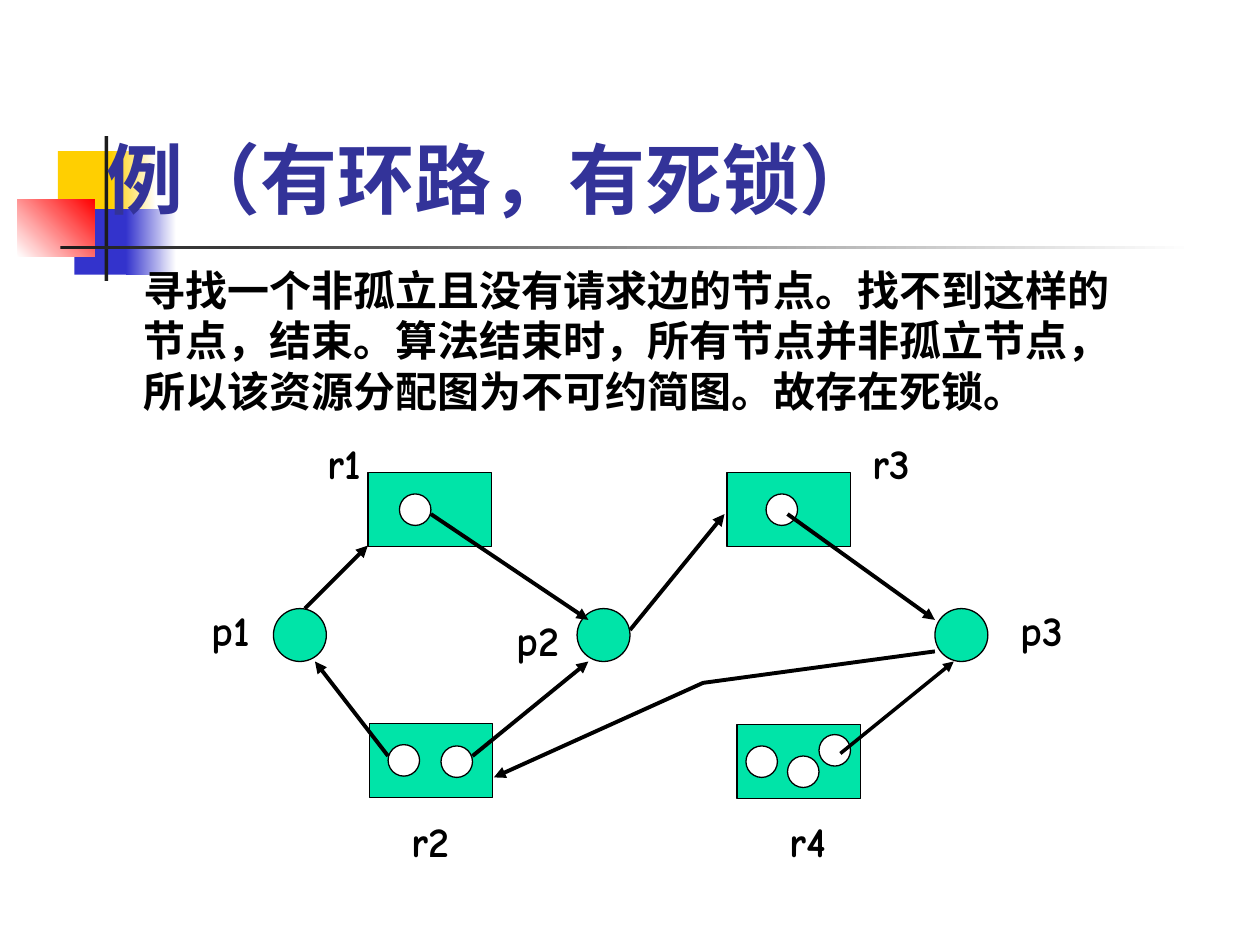
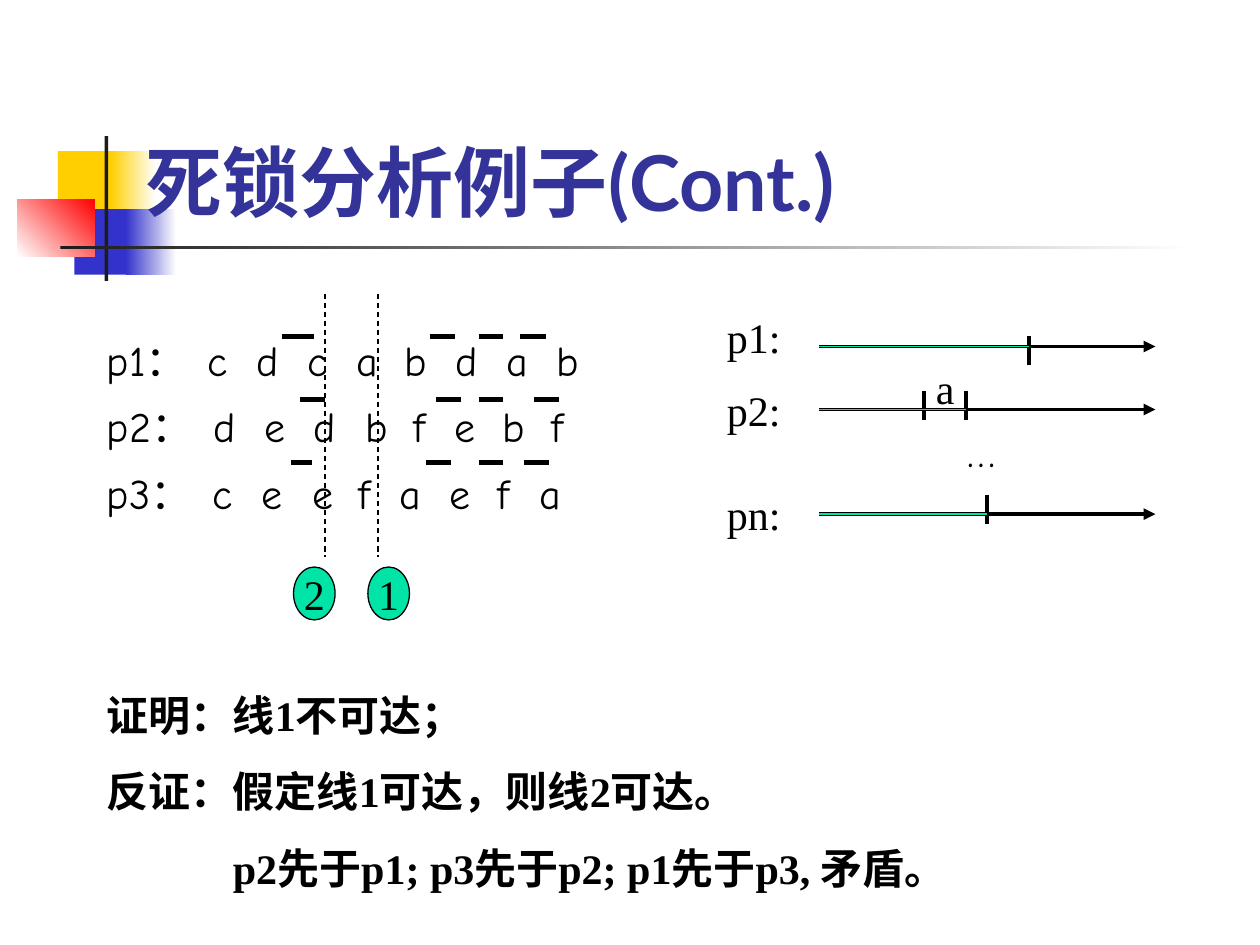
from lxml import etree
from pptx import Presentation
from pptx import util as u
from pptx.dml.color import RGBColor
from pptx.enum import dml, shapes, text
from pptx.oxml.ns import qn

BLACK = RGBColor(0x00, 0x00, 0x00)
WHITE = RGBColor(0xFF, 0xFF, 0xFF)
GREEN = RGBColor(0x00, 0xE4, 0xA8)
GOLD = RGBColor(0xFF, 0xCF, 0x01)
BLUE = RGBColor(0x33, 0x33, 0xCC)
RED = RGBColor(0xFF, 0x00, 0x00)
INK = RGBColor(0x1C, 0x1C, 0x1C)
NAVY = RGBColor(0x33, 0x33, 0x99)
RECT = shapes.MSO_SHAPE.RECTANGLE
OVAL = shapes.MSO_SHAPE.OVAL

HEAD = dict(name="Lato", size=u.Pt(44), bold=True)
BODY = dict(name="Lato", size=u.Pt(24), bold=True)
NODE = dict(name="Comic Neue", size=u.Pt(24), bold=True)
STEP = dict(name="Comic Neue", size=u.Pt(24), bold=False)
PROOF = dict(name="Times New Roman", size=u.Pt(24), bold=True)
MARK = dict(name="Times New Roman", size=u.Pt(24), bold=False)


def put(slide, at, words="", font=MARK, color=BLACK, kind=None, fill=None, edge=True):
    """Add a preset shape, or a text box when kind is None; a list of two fills is a gradient."""
    at = [u.Inches(n) for n in at]
    if kind is None:
        item = slide.shapes.add_textbox(*at)
    else:
        item = slide.shapes.add_shape(kind, *at)
        item.shadow.inherit = False
        if isinstance(fill, list):
            item.fill.gradient()
            item.fill.gradient_angle = 0
            for stop, tint in zip(item.fill.gradient_stops, fill):
                stop.color.rgb = tint
        else:
            item.fill.solid()
            item.fill.fore_color.rgb = fill
        if edge:
            item.line.color.rgb = BLACK
            item.line.width = u.Pt(0.75)
        else:
            item.line.fill.background()
    if words:
        frame = item.text_frame
        frame.word_wrap = kind is None
        for i, row in enumerate(words.split("\n")):
            par = frame.paragraphs[0] if i == 0 else frame.add_paragraph()
            par.space_before = u.Pt(15 if i else 0)
            run = par.add_run()
            run.text = row
            for key, val in font.items():
                setattr(run.font, key, val)
            run.font.color.rgb = color
    return item


def line(slide, pts, width=2.25, color=BLACK, tip=False, dash=False):
    """Join the points: a connector for two, an open outline for more."""
    pts = [(u.Inches(x), u.Inches(y)) for x, y in pts]
    if len(pts) == 2:
        item = slide.shapes.add_connector(shapes.MSO_CONNECTOR.STRAIGHT, *pts[0], *pts[1])
    else:
        outline = slide.shapes.build_freeform(*pts[0])
        outline.add_line_segments(pts[1:], close=False)
        item = outline.convert_to_shape()
        item.fill.background()
    item.line.color.rgb = color
    item.line.width = u.Pt(width)
    if dash:
        item.line.dash_style = dml.MSO_LINE.DASH
    props = item.element.spPr
    if tip:
        etree.SubElement(props.find(qn("a:ln")), qn("a:tailEnd"), type="triangle")
    etree.SubElement(props, qn("a:effectLst"))


deck = Presentation()
deck.slide_width, deck.slide_height = u.Inches(10), u.Inches(7.5)

# Shared band and title
band = [
    ((0.46, 1.2, 0.48, 0.52), GOLD),
    ((0.88, 1.2, 0.36, 0.52), [GOLD, WHITE]),
    ((0.59, 1.66, 0.46, 0.52), BLUE),
    ((1, 1.66, 0.4, 0.52), [BLUE, WHITE]),
    ((0.14, 1.58, 0.61, 0.46), [WHITE, RED]),
    ((0.83, 1.08, 0.03, 1.15), INK),
    ((0.48, 1.95, 9, 0.03), [INK, WHITE]),
]
titles = [(0.75, 0.58, "例（有环路，有死锁）"), (1.06, 0.6, "死锁分析例子(Cont.)")]
pages = []
for x, y, words in titles:
    page = deck.slides.add_slide(deck.slide_layouts[6])
    for at, fill in band:
        part = put(page, at, kind=RECT, fill=fill, edge=False)
        if fill == [WHITE, RED]:
            part.fill.gradient_angle = 45
    title = put(page, (x, y, 8.5, 1.25), words, HEAD, NAVY)
    title.text_frame.vertical_anchor = text.MSO_ANCHOR.BOTTOM
    pages.append(page)
graph, proof = pages

# Slide 1: resource graph
line(graph, [(7.42, 5.17), (5.58, 5.42), (3.92, 6.17)], tip=True)
pools = [
    (2.92, 3.75, [(3.17, 3.92)]),
    (5.77, 3.75, [(6.08, 3.92)]),
    (2.93, 5.74, [(3.08, 5.91), (3.5, 5.92)]),
    (5.85, 5.75, [(5.92, 5.92), (6.25, 6), (6.5, 5.83)]),
]
for x, y, units in pools:
    put(graph, (x, y, 0.98, 0.59), kind=RECT, fill=GREEN)
    for left, top in units:
        put(graph, (left, top, 0.25, 0.25), kind=OVAL, fill=WHITE)
for x in (2.17, 4.58, 7.42):
    put(graph, (x, 4.83, 0.42, 0.42), kind=OVAL, fill=GREEN)

names = [
    ("p1", 1.58, 4.75), ("p2", 4, 4.83), ("p3", 8, 4.75),
    ("r1", 2.5, 3.42), ("r3", 6.83, 3.42), ("r2", 3.17, 6.42), ("r4", 6.17, 6.42),
]
for name, x, y in names:
    put(graph, (x, y, 0.67, 0.5), name, NODE)

edges = [
    ((3.42, 4.08), (4.67, 4.92)),
    ((3.75, 6), (4.67, 5.25)),
    ((6.25, 4.08), (7.42, 4.92)),
    ((3.08, 6), (2.5, 5.25)),
    ((2.42, 4.83), (2.92, 4.33)),
    ((5, 5), (5.75, 4.08)),
]
for edge in edges:
    line(graph, edge, tip=True)
line(graph, [(6.67, 5.98), (7.57, 5.25)], width=2, tip=True)
put(graph, (1.04, 2.05, 8.05, 1.3),
    "寻找一个非孤立且没有请求边的节点。找不到这样的节点，结束。"
    "算法结束时，所有节点并非孤立节点，所以该资源分配图为不可约简图。故存在死锁。", BODY)

# Slide 2: request sequences, one tab stop for each letter
rows = [
    ("p1：", "cdcabdab", (0.8, 1.19, 1.59, 1.98, 2.36, 2.77, 3.17, 3.57)),
    ("p2：", "dedbfebf", (0.85, 1.25, 1.64, 2.05, 2.43, 2.76, 3.14, 3.53)),
    ("p3：", "ceefaefa", (0.84, 1.23, 1.63, 2, 2.32, 2.72, 3.1, 3.43)),
]
words = "\n".join("\t".join([name, *steps]) for name, steps, _ in rows)
lists = put(proof, (0.75, 2.68, 5, 1.6), words, STEP)
for par, (_, _, stops) in zip(lists.text_frame.paragraphs, rows):
    par.line_spacing = 0.8
    tabs = etree.SubElement(par._p.get_or_add_pPr(), qn("a:tabLst"))
    for stop in stops:
        etree.SubElement(tabs, qn("a:tab"), pos=str(u.Inches(stop)), algn="l")

bars = [
    [(2.24, 2.49), (3.41, 3.61), (3.8, 3.99), (4.13, 4.33)],
    [(2.38, 2.58), (3.46, 3.66), (3.8, 3.99), (4.24, 4.44)],
    [(2.31, 2.48), (3.38, 3.58), (3.8, 3.99), (4.16, 4.36)],
]
for i, row in enumerate(bars):
    y = 2.67 + 0.5 * i
    for start, end in row:
        line(proof, [(start, y), (end, y)], width=3)

for name, x, left in (("1", 3, 2.92), ("2", 2.58, 2.33)):
    line(proof, [(x, 2.33), (x, 4.42)], width=0.75, dash=True)
    disc = put(proof, (left, 4.5, 0.33, 0.42), name, kind=OVAL, fill=GREEN)
    disc.text_frame.vertical_anchor = text.MSO_ANCHOR.MIDDLE
    disc.text_frame.paragraphs[0].alignment = text.PP_ALIGN.CENTER

claim = put(proof, (0.75, 5.42, 8.08, 1.72),
            "证明：线1不可达；\n反证：假定线1可达，则线2可达。\n"
            "p2先于p1; p3先于p2; p1先于p3, 矛盾。", PROOF)
claim.text_frame.paragraphs[2]._p.get_or_add_pPr().set("marL", str(u.Inches(1)))

# Time lines: done part in green, ticks at the stops
times = [
    ("p1:", 2.42, 2.75, 2.67, [8.17]),
    ("p2:", 3, 3.25, 3.1, [7.33, 7.67]),
    ("pn:", 3.83, 4.08, 3.93, [7.83]),
]
for name, top, y, tick, stops in times:
    put(proof, (5.67, top, 0.67, 0.5), name)
    line(proof, [(6.5, y), (9.17, y)], tip=True)
    for x in stops:
        line(proof, [(x, tick), (x, tick + 0.23)])
    line(proof, [(6.5, y), (stops[-1], y)], width=0.75, color=GREEN)
put(proof, (7.58, 3.33, 0.75, 0.5), "…", STEP)
put(proof, (7.33, 2.83, 0.33, 0.5), "a")

deck.save("out.pptx")
